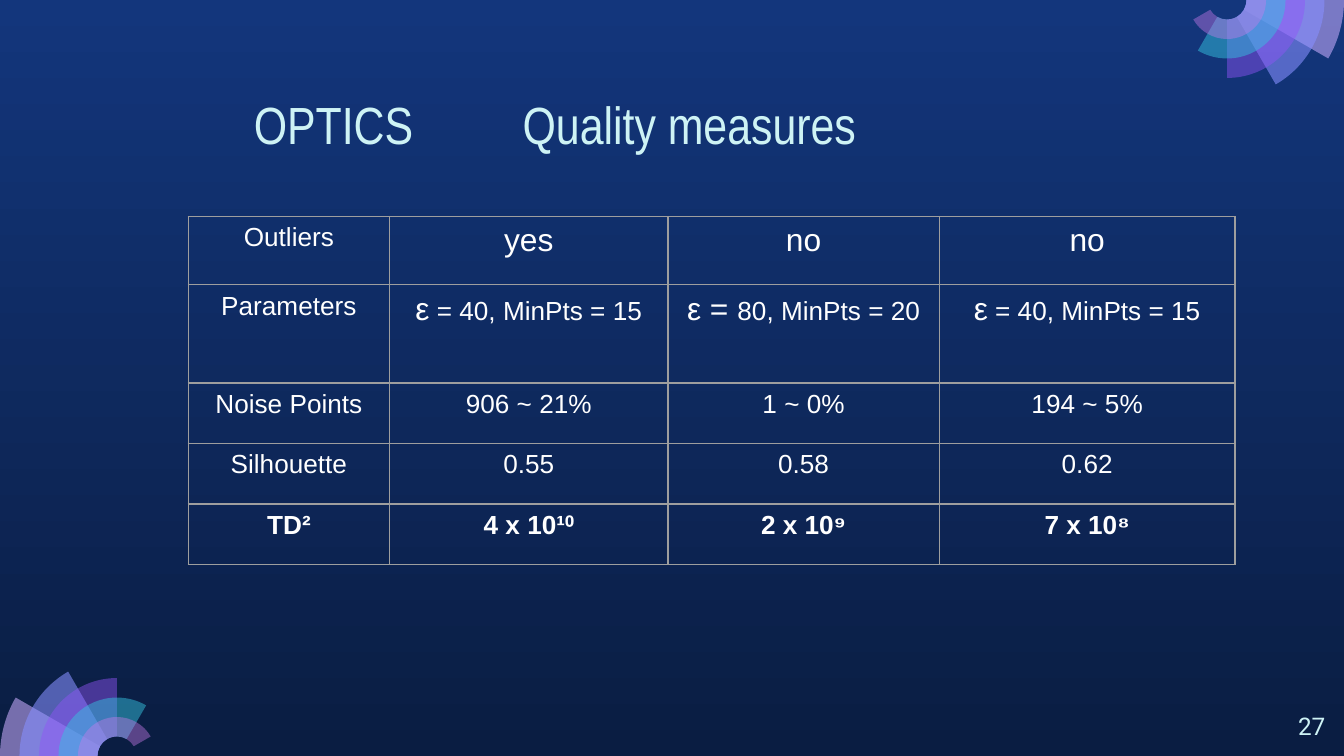
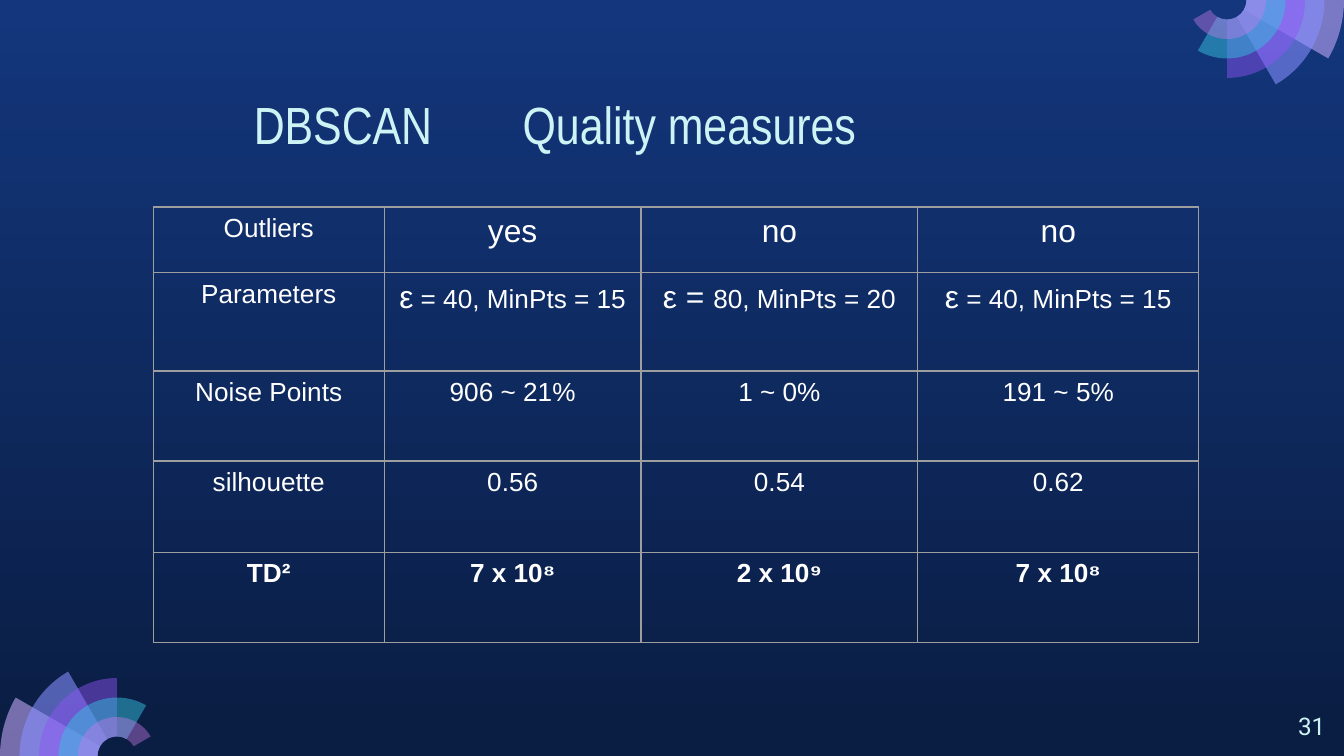
from math import cos, radians, sin, tan

from lxml.etree import SubElement
from pptx import Presentation
from pptx.dml.color import RGBColor as Color
from pptx.enum.text import PP_ALIGN as Align
from pptx.oxml.ns import qn
from pptx.util import Emu, Inches, Pt

COLORS = {
    "sky": "13367C",
    "night": "0A1D42",
    "ice": "CEF3F5",
    "white": "FFFFFF",
    "rule": "9E9E9E",
    "lilac": "C8ACFD",
    "periwinkle": "878FFF",
    "violet": "9154F8",
    "cyan": "35C2DF",
    "orchid": "CA7BEB",
}
BLADES = [("lilac", 57), ("periwinkle", 58), ("violet", 46), ("cyan", 49), ("orchid", 42)]
FAN_RADIUS = 0.87
PAGE_WIDTH = Inches(10)
PAGE_HEIGHT = PAGE_WIDTH * 9 // 16

SHARED_ROWS = [
    [[("Outliers", 14)], [("yes", 17)], [("no", 17)], [("no", 17)]],
    [
        [("Parameters", 14)],
        [("ε", 17), (" = 40, MinPts = 15", 14)],
        [("ε = ", 17), ("80, MinPts = 20", 14)],
        [("ε", 17), (" = 40, MinPts = 15", 14)],
    ],
]
PAGES = [
    {
        "method": "OPTICS",
        "number": "27",
        "corner": (1.4, 1.61),
        "columns": [1.5, 2.07, 2.02, 2.2],
        "heights": [0.51, 0.73, 0.45, 0.45, 0.45],
        "results": [
            ["Noise Points", "906 ~ 21%", "1 ~ 0%", "194 ~ 5%"],
            ["Silhouette", "0.55", "0.58", "0.62"],
            ["TD²", "4 x 10¹⁰", "2 x 10⁹", "7 x 10⁸"],
        ],
    },
    {
        "method": "DBSCAN",
        "number": "31",
        "corner": (1.14, 1.54),
        "columns": [1.72, 1.91, 2.06, 2.09],
        "heights": [0.49, 0.73, 0.67, 0.68, 0.67],
        "results": [
            ["Noise Points", "906 ~ 21%", "1 ~ 0%", "191 ~ 5%"],
            ["silhouette", "0.56", "0.54", "0.62"],
            ["TD²", "7 x 10⁸", "2 x 10⁹", "7 x 10⁸"],
        ],
    },
]


def color(name):
    """Return the named palette colour."""
    return Color.from_string(COLORS[name])


def style_font(font, face, size, name):
    """Set face, size and colour of a font."""
    font.name, font.size = face, Pt(size)
    font.color.rgb = color(name)


def paint_background(page):
    """Fill the page with the vertical gradient."""
    fill = page.background.fill
    fill.gradient()
    fill.gradient_angle = 270
    for stop, name in zip(fill.gradient_stops, ("sky", "night")):
        stop.color.rgb = color(name)


def arc(center, radius, angles):
    """Return the start and the Bezier points of an arc through the given angles."""
    def spot(angle, pull=0):
        """Return a point on the circle, shifted along its tangent by pull radii."""
        turn, reach = radians(angle), Inches(radius)
        return (
            round(center[0] + reach * (cos(turn) - pull * sin(turn))),
            round(center[1] + reach * (sin(turn) + pull * cos(turn))),
        )

    points = [spot(angles[0])]
    for first, last in zip(angles, angles[1:]):
        pull = 4 / 3 * tan(radians(last - first) / 4)
        points += [spot(first, pull), spot(last, -pull), spot(last)]
    return points


def bend(blade, starts):
    """Turn the three lines from each start index into one Bezier curve."""
    lines = list(blade.element.spPr.iter(qn("a:lnTo")))
    for start in starts:
        curve, *rest = lines[start:start + 3]
        curve.tag = qn("a:cubicBezTo")
        for line in rest:
            curve.append(line[0])
            line.getparent().remove(line)


def add_fan(page, center, start):
    """Draw five translucent ring sectors, each shorter and 30 degrees wider than the last."""
    group = page.shapes.add_group_shape()
    step = FAN_RADIUS / 6
    for index, (name, opacity) in enumerate(BLADES):
        sweep = 30 * (index + 1)
        angles = [start + turn for turn in sorted({0, min(sweep, 90), sweep})]
        outer = arc(center, FAN_RADIUS - index * step, angles)
        inner = arc(center, step, angles[::-1])
        builder = group.shapes.build_freeform(*outer[0])
        builder.add_line_segments(outer[1:] + inner, close=True)
        blade = builder.convert_to_shape()
        bend(blade, [*range(0, len(outer) - 1, 3), *range(len(outer), 2 * len(outer) - 1, 3)])
        blade.shadow.inherit = False
        blade.line.fill.background()
        blade.fill.solid()
        blade.fill.fore_color.rgb = color(name)
        tint = blade.element.spPr.find(f".//{qn('a:srgbClr')}")
        SubElement(tint, qn("a:alpha"), val=str(opacity * 1000))
    return group


def decorate_layout(layout, page):
    """Draw both corner fans and move them to the layout, in place of its placeholders."""
    for placeholder in list(layout.placeholders):
        placeholder.element.getparent().remove(placeholder.element)
    inset = Inches(FAN_RADIUS)
    fans = [
        add_fan(page, (inset, PAGE_HEIGHT), 180),
        add_fan(page, (PAGE_WIDTH - inset, 0), 0),
    ]
    for fan in fans:
        layout.shapes.element.append(fan.element)


def add_label(page, box, text, face, size, align):
    """Place one line of pale text in the given box."""
    frame = page.shapes.add_textbox(*map(Inches, box)).text_frame
    frame.word_wrap = True
    frame.margin_left = frame.margin_right = Inches(0.1)
    frame.margin_top = frame.margin_bottom = Inches(0.1)
    para = frame.paragraphs[0]
    span = para.add_run()
    span.text, para.alignment = text, align
    style_font(span.font, face, size, "ice")
    return para


def add_title(page, method):
    """Write the method and the topic at two tab stops."""
    box = (0.79, 0.59, 8.42, 0.63)
    text = f"\t{method}\tQuality measures"
    para = add_label(page, box, text, "Arial Narrow", 28, Align.LEFT)
    stops = SubElement(para._p.get_or_add_pPr(), qn("a:tabLst"))
    for place in (1, 3):
        SubElement(stops, qn("a:tab"), pos=str(Inches(place)), algn="l")


def add_borders(cell):
    """Rule all four sides of a table cell."""
    properties = cell._tc.get_or_add_tcPr()
    for side in "LRTB":
        line = SubElement(properties, qn(f"a:ln{side}"), w=str(Pt(0.75)))
        fill = SubElement(line, qn("a:solidFill"))
        SubElement(fill, qn("a:srgbClr"), val=COLORS["rule"])


def fill_cell(cell, spans, bold):
    """Write centred spans of given sizes into a ruled, unfilled cell."""
    add_borders(cell)
    cell.fill.background()
    para = cell.text_frame.paragraphs[0]
    para.alignment = Align.CENTER
    for text, size in spans:
        span = para.add_run()
        span.text = text
        style_font(span.font, "Arial", size, "white")
        span.font.bold = bold


def add_measures(page, corner, columns, heights, results):
    """Build the table of quality measures from its top left corner."""
    rows = [*SHARED_ROWS, *([[(text, 14)] for text in row] for row in results)]
    box = (*corner, sum(columns), sum(heights))
    table = page.shapes.add_table(len(rows), len(columns), *map(Inches, box)).table
    table.first_row = table.horz_banding = False
    for column, width in zip(table.columns, columns):
        column.width = Inches(width)
    for row, height, contents in zip(table.rows, heights, rows):
        row.height = Inches(height)
        for cell, spans in zip(row.cells, contents):
            fill_cell(cell, spans, contents is rows[-1])


def fill_page(page, content):
    """Give a page its background, title, table and number."""
    paint_background(page)
    add_title(page, content["method"])
    add_measures(
        page, content["corner"], content["columns"], content["heights"], content["results"]
    )
    add_label(page, (9.36, 5.19, 0.6, 0.43), content["number"], "Roboto", 13, Align.RIGHT)


def main():
    """Build and save the deck."""
    deck = Presentation()
    deck.slide_width, deck.slide_height = PAGE_WIDTH, Emu(PAGE_HEIGHT)
    layout = deck.slide_layouts[6]
    pages = [deck.slides.add_slide(layout) for _ in PAGES]
    decorate_layout(layout, pages[0])
    for page, content in zip(pages, PAGES):
        fill_page(page, content)
    deck.save("out.pptx")


if __name__ == "__main__":
    main()
